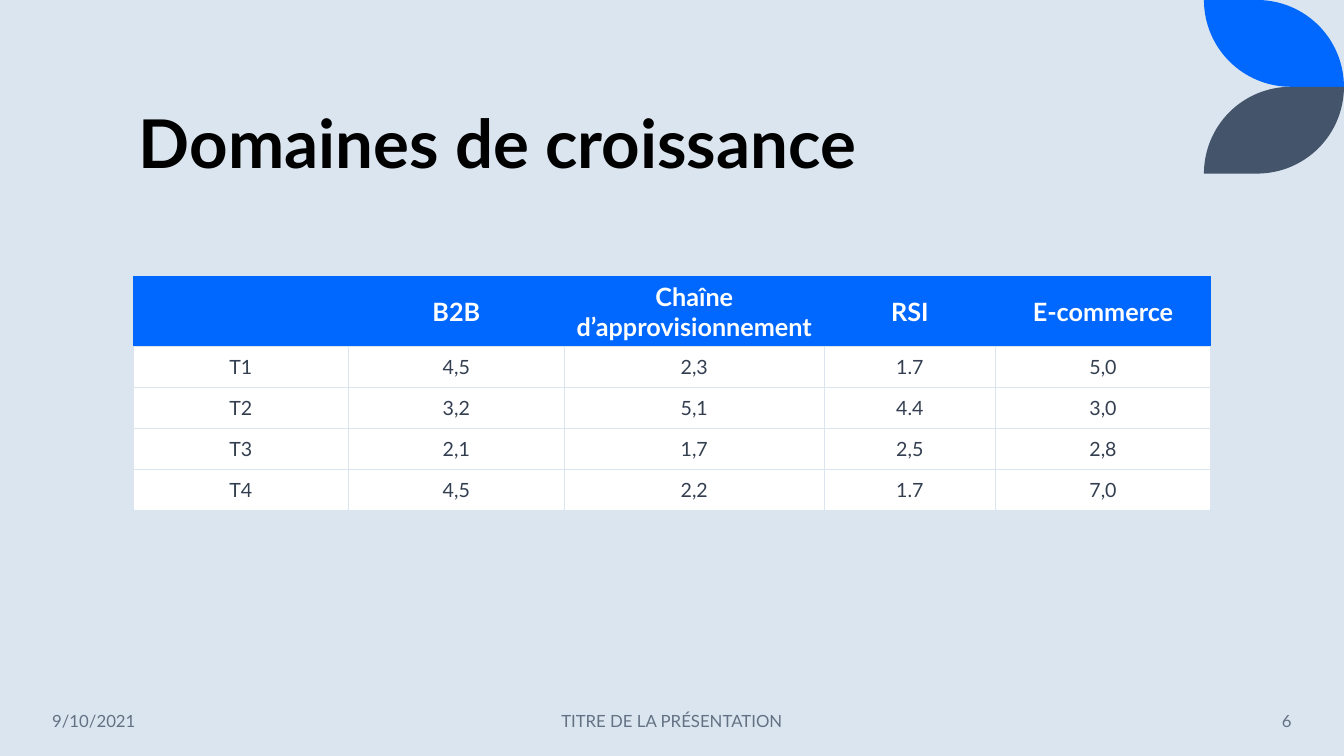
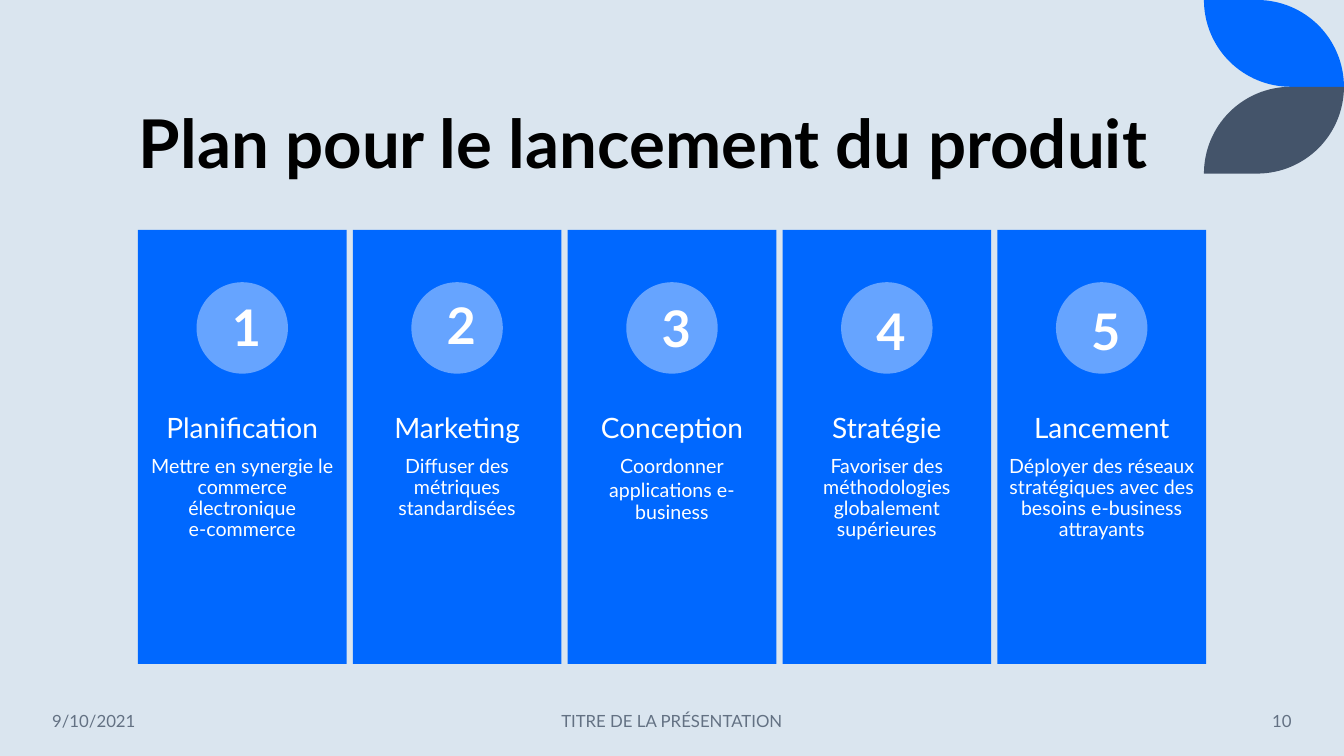
from math import cos, pi, sin

from lxml.etree import SubElement
from pptx import Presentation
from pptx.dml.color import RGBColor
from pptx.enum.shapes import MSO_SHAPE as Preset
from pptx.enum.text import MSO_ANCHOR as Anchor, PP_ALIGN as Align
from pptx.oxml.ns import qn
from pptx.util import Pt

COLORS = {
    "background": "DAE5EF",
    "accent": "0068FF",
    "accent_light": "66A4FF",
    "slate": "44546A",
    "title": "000000",
    "cell_text": "333F50",
    "footer": "637183",
    "white": "FFFFFF",
}
FONT = "Lato"
TITLE_BOX = (92, 30, 770, 104.4)
LEAF_BOX = (860, 0, 100, 62)
FOOTER_TOP, FOOTER_HEIGHT = 500.4, 28.8

# Each style: font values, then colour and paragraph values.
STYLES = {
    "title": ({"size": Pt(48), "bold": True}, "title",
              {"alignment": Align.LEFT, "line_spacing": 0.9}),
    "header": ({"size": Pt(18), "bold": True}, "white", {"alignment": Align.CENTER}),
    "cell": ({"size": Pt(14), "bold": False}, "cell_text", {"alignment": Align.CENTER}),
    "step": ({"size": Pt(20)}, "white",
             {"alignment": Align.CENTER, "line_spacing": 0.9, "space_after": Pt(8.4)}),
    "detail": ({"size": Pt(14)}, "white",
               {"alignment": Align.CENTER, "line_spacing": 0.9, "space_after": Pt(2.4)}),
    "number": ({"size": Pt(36), "bold": True}, "white", {"alignment": Align.CENTER}),
    "footer": ({"size": Pt(12)}, "footer", {}),
}

GROWTH_COLUMNS = [154, 154, 186, 122, 154]
GROWTH_ROWS = [
    ["", "B2B", "Chaîne d’approvisionnement", "RSI", "E-commerce"],
    ["T1", "4,5", "2,3", "1.7", "5,0"],
    ["T2", "3,2", "5,1", "4.4", "3,0"],
    ["T3", "2,1", "1,7", "2,5", "2,8"],
    ["T4", "4,5", "2,2", "1.7", "7,0"],
]
# Step name, detail paragraphs, top of the number within its column.
LAUNCH_STEPS = [
    ("Planification", ["Mettre en synergie le commerce électronique\ne-commerce"], 43.8),
    ("Marketing", ["Diffuser des métriques standardisées"], 42.4),
    ("Conception", ["Coordonner", "applications e-business"], 44.6),
    ("Stratégie", ["Favoriser des méthodologies globalement supérieures"], 46.8),
    ("Lancement",
     ["Déployer des réseaux stratégiques avec des besoins e-business attrayants"], 46.8),
]


def rgb(name):
    return RGBColor.from_string(COLORS[name])


def points(*lengths):
    return [Pt(length) for length in lengths]


def set_values(target, values):
    for name, value in values.items():
        setattr(target, name, value)


def write(paragraph, text, style, **layout):
    font_values, color, paragraph_values = STYLES[style]
    paragraph.text = text
    set_values(paragraph, {**paragraph_values, **layout})
    for run in paragraph.runs:
        set_values(run.font, {"name": FONT, **font_values})
        run.font.color.rgb = rgb(color)


def paint(shape, color):
    shape.shadow.inherit = False
    shape.fill.solid()
    shape.fill.fore_color.rgb = rgb(color)
    shape.line.fill.background()


def add_text(slide, box, entries, **frame_values):
    """Add a text box whose entries are (text, style, paragraph values)."""
    frame = slide.shapes.add_textbox(*points(*box)).text_frame
    set_values(frame, {"word_wrap": True, **frame_values})
    for index, (text, style, layout) in enumerate(entries):
        paragraph = frame.add_paragraph() if index else frame.paragraphs[0]
        write(paragraph, text, style, **layout)


def add_leaf(slide, box, color, flipped=False):
    """Draw a leaf with two opposite quarter-circle edges."""
    left, top, width, height = box
    angles = [pi / 2 * step / 32 for step in range(33)]
    upper = [(width - height + height * sin(a), height - height * cos(a)) for a in angles]
    lower = [(width - x, height - y) for x, y in upper]
    outline = [(left + x, top + (height - y if flipped else y)) for x, y in upper + lower]
    builder = slide.shapes.build_freeform(*points(*outline[0]), scale=1.0)
    builder.add_line_segments([points(*point) for point in outline[1:]], close=True)
    paint(builder.convert_to_shape(), color)


def add_footer(slide, number):
    parts = [
        (30.2, 134, "9/10/2021", Align.LEFT),
        (318, 324, "TITRE DE LA PRÉSENTATION", Align.CENTER),
        (799.4, 130.3, number, Align.RIGHT),
    ]
    for left, width, text, alignment in parts:
        add_text(slide, (left, FOOTER_TOP, width, FOOTER_HEIGHT),
                 [(text, "footer", {"alignment": alignment})],
                 vertical_anchor=Anchor.MIDDLE)


def add_base_slide(prs, title, number):
    slide = prs.slides.add_slide(prs.slide_layouts[5])
    left, top, width, height = LEAF_BOX
    add_leaf(slide, LEAF_BOX, "accent")
    add_leaf(slide, (left, top + height, width, height), "slate", flipped=True)
    heading = slide.shapes.title
    set_values(heading, dict(zip(("left", "top", "width", "height"), points(*TITLE_BOX))))
    set_values(heading.text_frame, {"vertical_anchor": Anchor.BOTTOM, "word_wrap": True})
    write(heading.text_frame.paragraphs[0], title, "title")
    add_footer(slide, number)
    return slide


def set_borders(cell, visible_sides):
    """Rule the given sides (letters of LRTB) and clear the others."""
    properties = cell._tc.get_or_add_tcPr()
    for index, side in enumerate("LRTB"):
        line = SubElement(properties, qn(f"a:ln{side}"), w=str(Pt(1)))
        if side in visible_sides:
            fill = SubElement(line, qn("a:solidFill"))
            SubElement(fill, qn("a:srgbClr"), val=COLORS["background"])
        else:
            SubElement(line, qn("a:noFill"))
        properties.insert(index, line)


def add_growth_table(slide, left, top, header_height=50, row_height=29.25):
    heights = [header_height] + [row_height] * (len(GROWTH_ROWS) - 1)
    box = points(left, top, sum(GROWTH_COLUMNS), sum(heights))
    table = slide.shapes.add_table(len(heights), len(GROWTH_COLUMNS), *box).table
    table.horz_banding = False
    for column, width in zip(table.columns, GROWTH_COLUMNS):
        column.width = Pt(width)
    for row_index, (row, height, texts) in enumerate(zip(table.rows, heights, GROWTH_ROWS)):
        row.height = Pt(height)
        style, color, sides = ("cell", "white", "LRTB") if row_index else ("header", "accent", "B")
        for cell, text in zip(row.cells, texts):
            cell.fill.solid()
            cell.fill.fore_color.rgb = rgb(color)
            cell.vertical_anchor = Anchor.MIDDLE
            set_borders(cell, sides)
            write(cell.text_frame.paragraphs[0], text, style)


def add_step_column(slide, box, number, step, details, number_top):
    left, top, width, height = box
    disc = 65.3
    discs = [
        (Preset.RECTANGLE, box, "accent"),
        (Preset.OVAL, (left + (width - disc) / 2, top + 37.4, disc, disc), "accent_light"),
    ]
    for preset, part_box, color in discs:
        paint(slide.shapes.add_shape(preset, *points(*part_box)), color)
    margins = {f"margin_{side}": Pt(7.8) for side in ("left", "right", "top", "bottom")}
    add_text(slide, (left, top + 124, width, 124),
             [(step, "step", {})] + [(detail, "detail", {}) for detail in details],
             **margins)
    add_text(slide, (left + 63.5, top + number_top, 28, 51),
             [(str(number), "number", {})], margin_left=0, margin_right=0)


def add_launch_steps(slide, left, top, width, height, gap=4.4):
    column_width = (width - gap * (len(LAUNCH_STEPS) - 1)) / len(LAUNCH_STEPS)
    for index, step in enumerate(LAUNCH_STEPS):
        column_left = left + index * (column_width + gap)
        add_step_column(slide, (column_left, top, column_width, height), index + 1, *step)


def main():
    prs = Presentation()
    prs.slide_width, prs.slide_height = points(960, 540)
    background = prs.slide_master.background.fill
    background.solid()
    background.fore_color.rgb = rgb("background")

    growth = add_base_slide(prs, "Domaines de croissance", "6")
    add_growth_table(growth, 95, 197.3)

    launch = add_base_slide(prs, "Plan pour le lancement du produit", "10")
    add_launch_steps(launch, 98.5, 164.2, 763, 310)

    prs.save("out.pptx")


if __name__ == "__main__":
    main()
